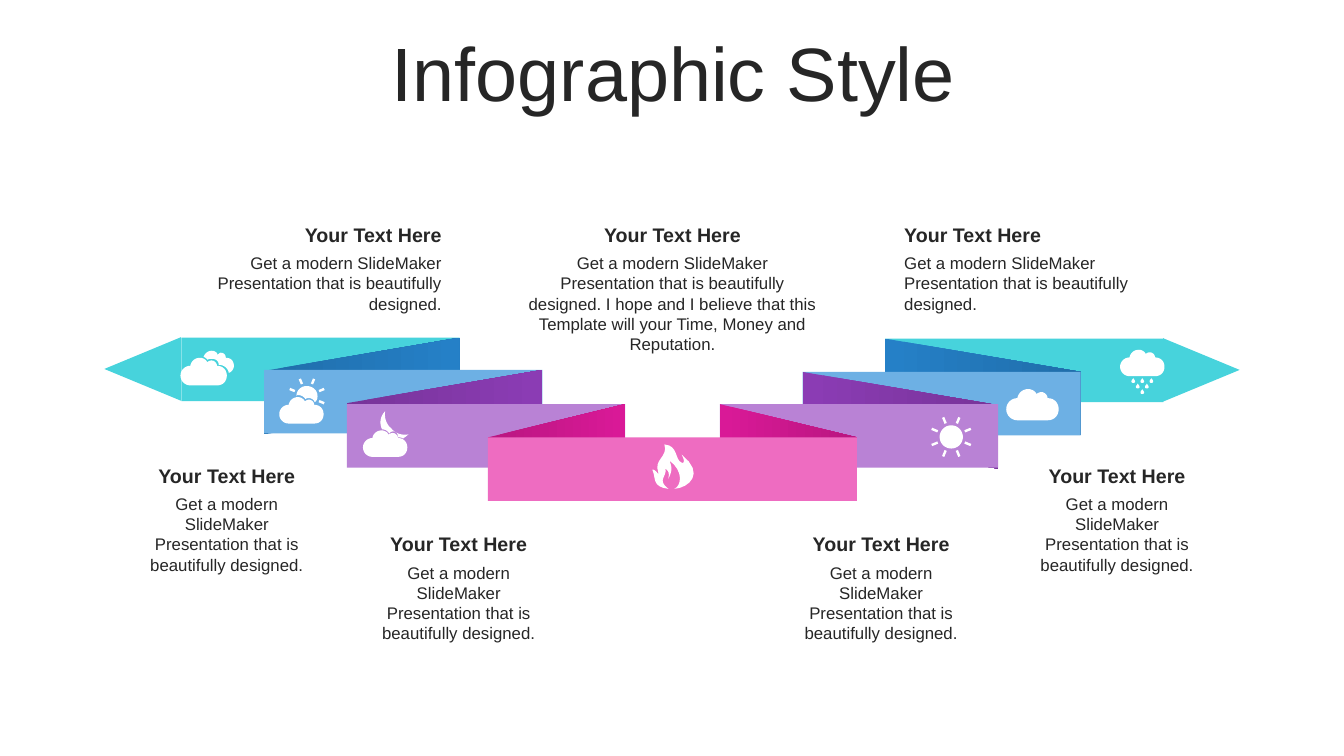
from math import cos, pi, sin

from pptx import Presentation
from pptx.dml.color import RGBColor
from pptx.enum.shapes import MSO_SHAPE
from pptx.enum.text import MSO_ANCHOR, PP_ALIGN
from pptx.util import Pt

PX = 9144  # EMU per px, 100 px to the inch
RECT, TIP = MSO_SHAPE.RECTANGLE, MSO_SHAPE.ISOSCELES_TRIANGLE
LEFT, MID, RIGHT = PP_ALIGN.LEFT, PP_ALIGN.CENTER, PP_ALIGN.RIGHT
TOP, CENTER = MSO_ANCHOR.TOP, MSO_ANCHOR.MIDDLE
FONT, INK, WHITE = "Arial", "262626", "FFFFFF"
STRIP_W, STRIP_H, STEP = 276, 63, 82

HEAD = "Your Text Here"
LEAD = "Get a modern SlideMaker"
SHORT = "Presentation that is beautifully designed."
LONG = (SHORT + " I hope and I believe that this Template will your Time, "
        "Money and Reputation.")

# left y, right y, fold width, strip colour, fold light, fold dark
LEVELS = [
    (335, 336, 194, "47D3DC", "2580C7", "206EAB"),
    (367, 369, 194, "6DB0E4", "8B3CB4", "78349A"),
    (401, 401, 136, "B982D5", "D91997", "BA1681"),
]
# x, y, width, body height, alignment, body
NOTES = [
    (165, 216, 283, 71, RIGHT, SHORT),
    (514, 216, 306, 111, MID, LONG),
    (887, 216, 283, 71, LEFT, SHORT),
    (135, 455, 180, 91, MID, SHORT),
    (365, 523, 180, 91, MID, SHORT),
    (784, 523, 180, 91, MID, SHORT),
    (1018, 455, 180, 91, MID, SHORT),
]

# Bezier outlines: a start point, then three points for each curve
CLOUD = """22 0  25 0 29 2 30 5  31 4 33 3 35 3  38 3 41 6 41 9
    48 9 52 14 52 20  52 26 48 31 41 31  31 31 21 31 11 31
    5 31 0 26 0 20  0 14 5 9 11 9  12 4 16 0 22 0"""
DROP = "0 0  0 1 2 2 2 4  2 6 -2 6 -2 4  -2 2 0 1 0 0"
BACK = """210 348  212 348 215 349 216 352  217 351 218 350 219 350
    222 350 224 352 224 355  229 355 232 358 232 363
    232 366 230 369 227 370  226 365 222 362 217 362
    217 358 214 356 210 356  209 356 207 356 206 357
    205 356 204 355 202 354  203 351 206 348 210 348"""
DAWN = """304 383  310 383 315 387 315 393  315 396 314 398 312 399
    312 397 309 395 307 395  305 395 304 395 303 396
    302 394 299 392 296 392  295 392 294 392 294 393
    294 387 299 383 304 383"""
MOON = """382 408  381 414 383 421 388 425  392 430 398 432 405 431
    403 433 401 434 400 435  398 434 397 434 395 434
    395 431 393 428 390 428  388 428 387 429 386 430
    384 427 382 426 379 426  376 420 377 413 382 408"""
FLAME = """663 485  646 483 651 474 647 466  650 465 654 473 653 469
    648 455 663 454 659 441  673 442 669 456 676 459
    678 460 680 458 676 451  700 470 683 484 669 485
    676 482 678 467 664 457  668 466 665 470 663 475
    663 473 665 468 660 465  662 473 651 476 663 485"""


def rgb(hex):
    return RGBColor.from_string(hex)


def plain(shape, *hexes):
    """Fill with one colour, or with a gradient from left to right."""
    if len(hexes) == 1:
        shape.fill.solid()
        shape.fill.fore_color.rgb = rgb(hexes[0])
    else:
        shape.fill.gradient()
        shape.fill.gradient_angle = 0
        for stop, hex, pos in zip(shape.fill.gradient_stops, hexes, (0.03, 0.97)):
            stop.color.rgb = rgb(hex)
            stop.position = pos
    shape.line.fill.background()
    shape.shadow.inherit = False


def block(slide, kind, x, y, w, h, hex, turn=0):
    shape = slide.shapes.add_shape(kind, x * PX, y * PX, w * PX, h * PX)
    shape.rotation = turn
    plain(shape, hex)


def outline(slide, loops, *hexes):
    """Draw closed loops of points as one freeform."""
    pen = None
    for loop in loops:
        pts = [(x * PX, y * PX) for x, y in loop]
        if pen is None:
            pen = slide.shapes.build_freeform(*pts[0], scale=1.0)
        else:
            pen.move_to(*pts[0])
        pen.add_line_segments(pts[1:], close=True)
    plain(pen.convert_to_shape(), *hexes)


def curve(text, x=0, y=0, zoom=1):
    """Turn a Bezier outline into points, scaled and moved."""
    nums = [float(n) for n in text.split()]
    pts = [(x + a * zoom, y + b * zoom) for a, b in zip(nums[::2], nums[1::2])]
    loop = [pts[0]]
    for i in range(0, len(pts) - 1, 3):
        for t in (n / 8 for n in range(1, 9)):
            u = 1 - t
            parts = (u ** 3, 3 * u * u * t, 3 * u * t * t, t ** 3)
            loop.append(tuple(sum(k * p[axis] for k, p in zip(parts, pts[i:i + 4]))
                              for axis in (0, 1)))
    return loop


def cloud(x, y, w):
    return curve(CLOUD, x, y, w / 52)


def disc(x, y, r):
    return [(x + r * cos(n * pi / 24), y + r * sin(n * pi / 24)) for n in range(48)]


def rays(x, y, near, far, turns):
    """Short bars around a sun, at odd sixteenths of a circle."""
    loops = []
    for n in turns:
        c, s = cos((2 * n + 1) * pi / 8), sin((2 * n + 1) * pi / 8)
        loops.append([(x + r * c - d * s, y + r * s + d * c)
                      for r, d in ((near, -1.2), (far, -1.2), (far, 1.2), (near, 1.2))])
    return loops


def label(slide, x, y, w, h, lines, size, align, bold=False, anchor=TOP):
    frame = slide.shapes.add_textbox(x * PX, y * PX, w * PX, h * PX).text_frame
    frame.word_wrap = True
    frame.vertical_anchor = anchor
    para = frame.paragraphs[0]
    para.alignment = align
    for i, line in enumerate(lines):
        if i:
            para.add_line_break()
        para.add_run().text = line
    font = para.font
    font.name, font.size, font.bold = FONT, Pt(size), bold
    font.color.rgb = rgb(INK)
    return para


def fold(slide, inner, outer, y, *hexes):
    outline(slide, [[(inner, y), (outer, y + 33), (outer, y + 33 + STRIP_H),
                     (inner, y + STRIP_H)]], *hexes)


def ribbon(slide):
    tint = LEVELS[0][3]
    block(slide, TIP, 110, 328, STRIP_H, 76, tint, 270)
    block(slide, TIP, 1160, 329, STRIP_H, 76, tint, 90)
    for i, (y1, y2, wide, hex, light, dark) in enumerate(LEVELS):
        x1, x2 = 180 + i * STEP, 878 - i * STEP
        end = x1 + STRIP_W
        block(slide, RECT, x1, y1, STRIP_W, STRIP_H, hex)
        fold(slide, end, end - wide, y1, dark, light)
        block(slide, RECT, x2, y2, STRIP_W, STRIP_H, hex)
        fold(slide, x2, x2 + wide, y2, light, dark)
    block(slide, RECT, 484, 434, 366, STRIP_H, "EE6CC1")


def icons(slide):
    drops = [curve(DROP, 1124 + 9 * col + 4.5 * row, 375 + 5.5 * row, 0.9)
             for row in range(3) for col in range(3 - row)]
    for loops in (
        [cloud(179, 355, 46), curve(BACK)],
        [cloud(277, 394, 44), curve(DAWN)] + rays(304.5, 393, 13, 18.5, (0, 4, 5, 6, 7)),
        [cloud(360, 427, 44), curve(MOON)],
        [curve(FLAME)],
        [disc(943.5, 433.5, 11.5)] + rays(943.5, 433.5, 14.5, 21, range(8)),
        [cloud(998, 386, 52)],
        [cloud(1111, 347, 44)] + drops,
    ):
        outline(slide, loops, WHITE)


def main():
    deck = Presentation()
    deck.slide_width, deck.slide_height = 1333 * PX, 750 * PX
    slide = deck.slides.add_slide(deck.slide_layouts[6])
    title = label(slide, 35, 37, 1266, 79, ["Infographic Style"], 54, MID, anchor=CENTER)
    title.line_spacing = 0.9
    ribbon(slide)
    for x, y, w, h, align, body in NOTES:
        label(slide, x, y, w, 34, [HEAD], 14, align, bold=True)
        label(slide, x, y + 30, w, h, [LEAD, body], 12, align)
    icons(slide)
    deck.save("out.pptx")


if __name__ == "__main__":
    main()
